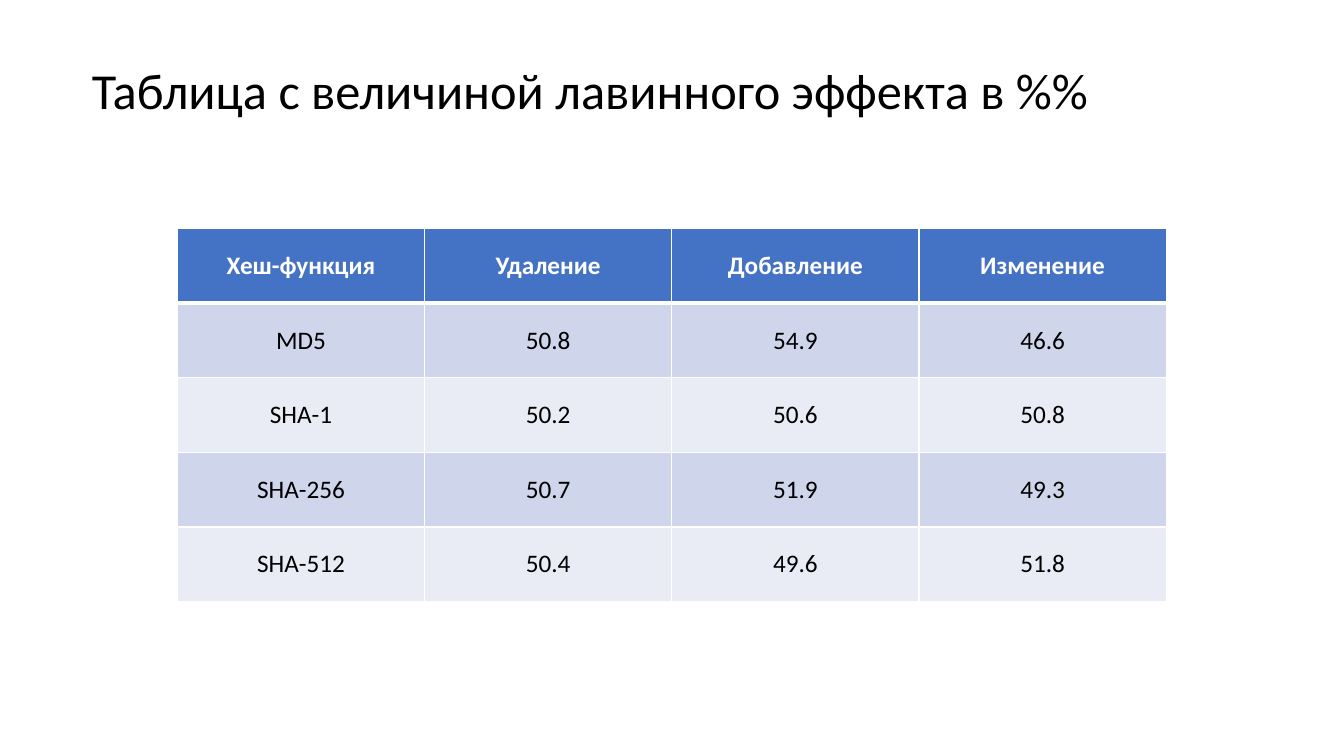
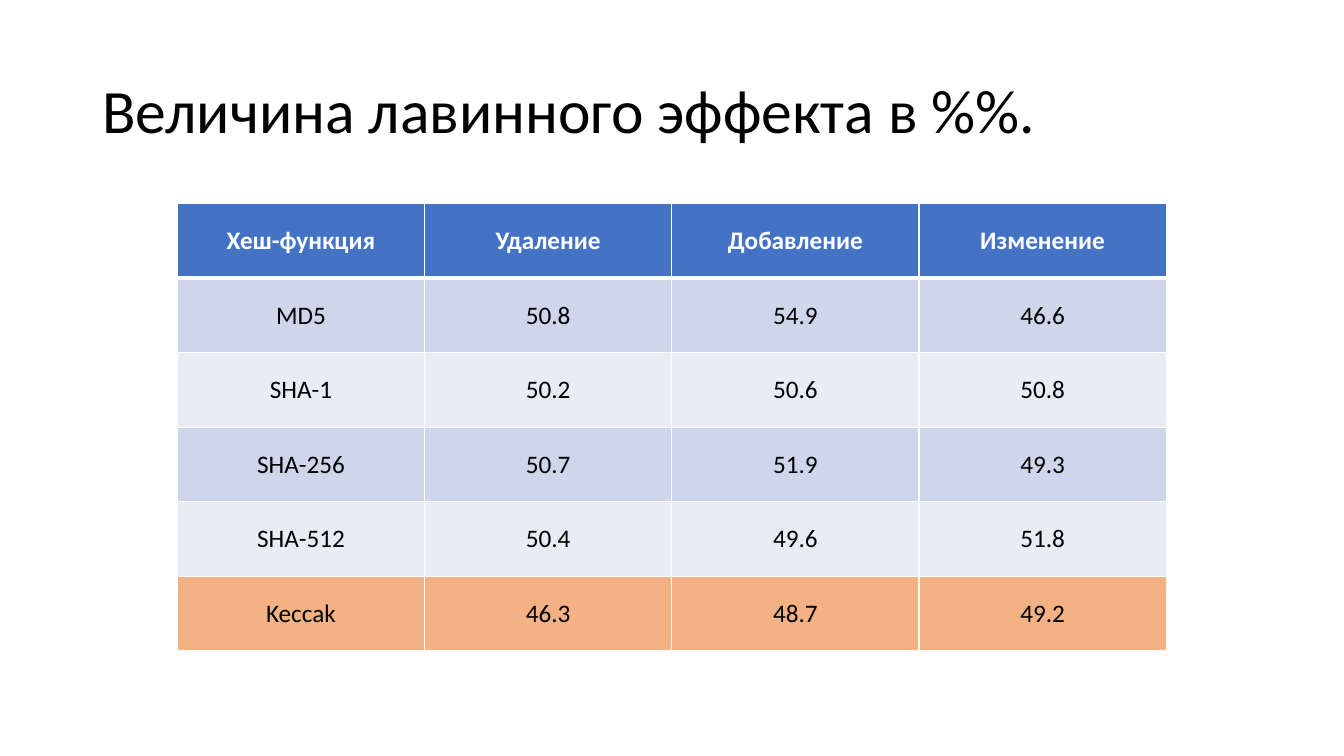
from dataclasses import dataclass

from lxml import etree
from pptx import Presentation
from pptx.dml.color import RGBColor
from pptx.enum.text import MSO_ANCHOR, MSO_AUTO_SIZE, PP_ALIGN
from pptx.oxml.ns import qn
from pptx.util import Pt

LEFT, CENTER = PP_ALIGN.LEFT, PP_ALIGN.CENTER
MIDDLE = MSO_ANCHOR.MIDDLE
NO_FIT = MSO_AUTO_SIZE.NONE
TITLE_ONLY = 5


@dataclass(frozen=True)
class Theme:
    font: str = "Calibri"
    ink: str = "000000"
    paper: str = "FFFFFF"
    head: str = "4472C4"
    bands: tuple = ("CFD5EA", "E9EBF5")
    accent: str = "F4B183"
    small: int = 36
    large: int = 44
    body: int = 18
    thin: int = 1
    thick: int = 3


THEME = Theme()
GRID_X, GRID_W, ROW_H = 126.72, 706.32, 53.28

HEAD = ("Хеш-функция", "Удаление", "Добавление", "Изменение")
HASHES = [
    ("MD5", "50.8", "54.9", "46.6"),
    ("SHA-1", "50.2", "50.6", "50.8"),
    ("SHA-256", "50.7", "51.9", "49.3"),
    ("SHA-512", "50.4", "49.6", "51.8"),
]
KECCAK = ("Keccak", "46.3", "48.7", "49.2")


def write(frame, text, size, color=THEME.ink, bold=False, align=LEFT, space=1.0):
    """Put one formatted paragraph into a text frame."""
    para = frame.paragraphs[0]
    para.alignment, para.line_spacing = align, space
    run = para.add_run()
    run.text = text
    font = run.font
    font.name, font.size, font.bold = THEME.font, Pt(size), bold
    font.color.rgb = RGBColor.from_string(color)


def edge(cell, side, width):
    """Draw one border of a cell; sides go in the order L, R, T, B."""
    props = cell._tc.get_or_add_tcPr()
    line = etree.SubElement(props, qn(f"a:ln{side}"), w=str(Pt(width)))
    fill = etree.SubElement(line, qn("a:solidFill"))
    etree.SubElement(fill, qn("a:srgbClr"), val=THEME.paper)


def title(slide, text, box, size):
    shape = slide.shapes.title
    shape.left, shape.top, shape.width, shape.height = map(Pt, box)
    frame = shape.text_frame
    frame.word_wrap, frame.auto_size = True, NO_FIT
    frame.vertical_anchor = MIDDLE
    write(frame, text, size, space=0.9)


def grid(slide, rows, box, marked=None):
    """Banded table with a header row and, if given, one marked row."""
    x, y, width, height = box
    shape = slide.shapes.add_table(len(rows), len(HEAD), *map(Pt, box))
    table = shape.table
    for col in table.columns:
        col.width = Pt(width / len(HEAD))
    for i, row in enumerate(rows):
        table.rows[i].height = Pt(height / len(rows))
        top = i == 0
        # Row colour: header, marked row or alternating band
        if top:
            back = THEME.head
        elif row == marked:
            back = THEME.accent
        else:
            back = THEME.bands[(i - 1) % 2]
        for j, text in enumerate(row):
            cell = table.cell(i, j)
            cell.vertical_anchor = MIDDLE
            write(cell.text_frame, text, THEME.body, bold=top, align=CENTER,
                  color=THEME.paper if top else THEME.ink)
            # The rule under the header is shared with the row below it
            heavy = {(0, "B"), (1, "T")}
            for side in "LRTB":
                edge(cell, side, THEME.thick if (i, side) in heavy else THEME.thin)
            cell.fill.solid()
            cell.fill.fore_color.rgb = RGBColor.from_string(back)


def page(deck, text, box, size, rows, y, marked=None):
    """Slide with a title above a table of results."""
    slide = deck.slides.add_slide(deck.slide_layouts[TITLE_ONLY])
    title(slide, text, box, size)
    rows = [HEAD, *rows]
    grid(slide, rows, (GRID_X, y, GRID_W, ROW_H * len(rows)), marked)


def main():
    deck = Presentation()
    deck.slide_width, deck.slide_height = Pt(960), Pt(540)
    # Four hash functions
    page(deck, "Таблица с величиной лавинного эффекта в %%",
         (58.4, 38, 790.6, 57.6), THEME.small, HASHES, 163.4)
    # The same with Keccak marked
    page(deck, "Величина лавинного эффекта в %%.",
         (66, 28.8, 828, 104.4), THEME.large, [*HASHES, KECCAK], 145.4, KECCAK)
    deck.save("out.pptx")


if __name__ == "__main__":
    main()
